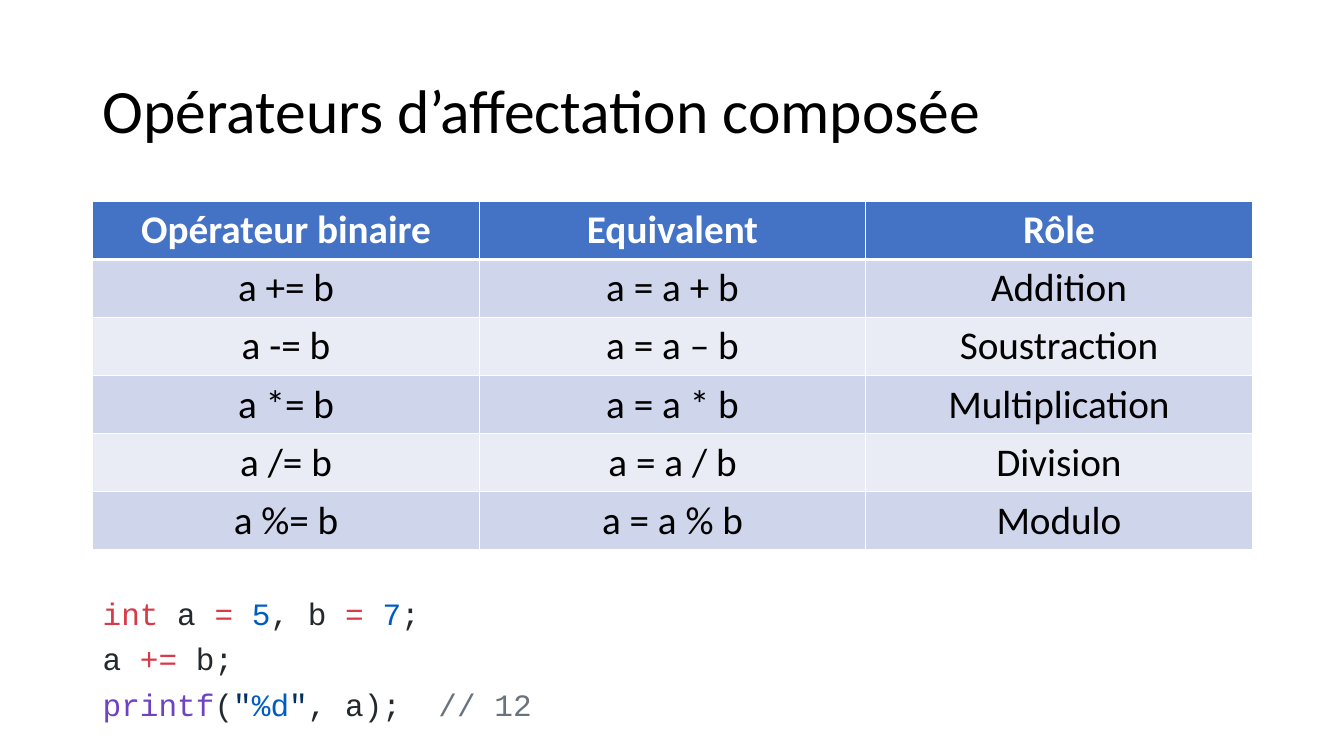
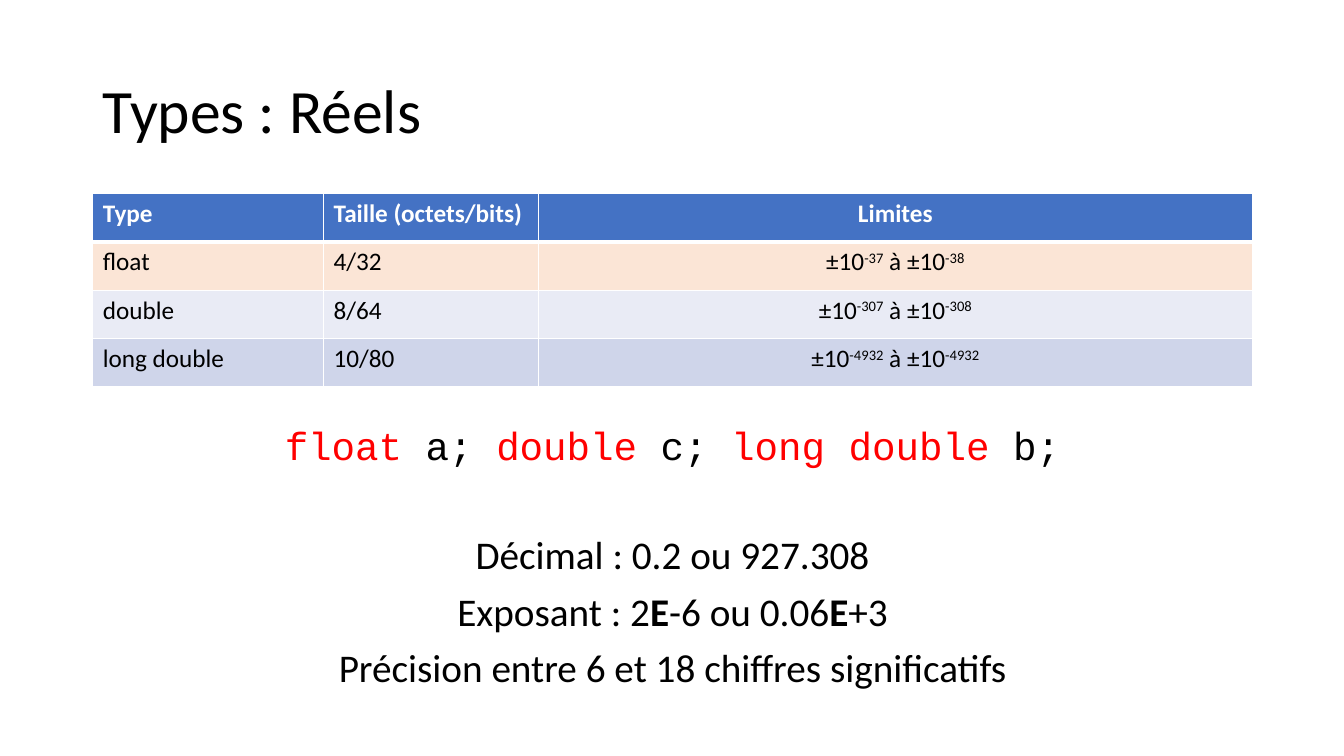
from lxml import etree
from pptx import Presentation
from pptx.dml.color import RGBColor
from pptx.enum.text import MSO_ANCHOR, PP_ALIGN
from pptx.oxml.ns import qn
from pptx.util import Inches, Pt

LEFT, CENTER = PP_ALIGN.LEFT, PP_ALIGN.CENTER
MIDDLE = MSO_ANCHOR.MIDDLE

# Shared look
SANS, MONO = "Calibri", "Courier New"
BLACK, WHITE, BLUE = "000000", "FFFFFF", "4472C4"
DARK, PALE, PEACH = "CFD5EA", "E9EBF5", "FBE5D6"
RED, INK, NUM = "D73A49", "24292E", "005CC5"
CALL, QUOTE, NOTE, TYPE = "6F42C1", "032F62", "6A737D", "FF0000"
EDGE, WIDE = 0.92, 11.5


def rgb(code):
    return RGBColor.from_string(code)


def add_runs(para, runs, size, face):
    """Each run is (text, colour) or (text, colour, "bold" or "super")."""
    for text, color, *mode in runs:
        run = para.add_run()
        run.text = text
        run.font.size = Pt(size)
        run.font.name = face
        run.font.color.rgb = rgb(color)
        run.font.bold = "bold" in mode
        if "super" in mode:
            run._r.get_or_add_rPr().set("baseline", "30000")


# Content of the operator slide
ops = [["Opérateur binaire", "Equivalent", "Rôle"]]
for sign, mid, role in [("+", "+", "Addition"), ("-", "–", "Soustraction"),
                        ("*", "*", "Multiplication"), ("/", "/", "Division"),
                        ("%", "%", "Modulo")]:
    ops.append([f"a {sign}= b", f"a = a {mid} b", role])

# Lines of text: font, space before, runs
code = [
    (MONO, 0, [("int", RED), (" a ", INK), ("= ", RED), ("5", NUM),
               (", b ", INK), ("= ", RED), ("7", NUM), (";", INK)]),
    (MONO, 10, [("a ", INK), ("+=", RED), (" b;", INK)]),
    (MONO, 10, [("printf", CALL), ("(", INK), ('"', QUOTE), ("%d", NUM),
                ('"', QUOTE), (", a); ", INK), (" // 12", NOTE)]),
]

# Content of the real number slide
reals = [["Type", "Taille (octets/bits)", "Limites"]]
for kind, bits, low, high in [("float", "4/32", "-37", "-38"),
                              ("double", "8/64", "-307", "-308"),
                              ("long double", "10/80", "-4932", "-4932")]:
    reals.append([kind, bits, [("±10", BLACK), (low, BLACK, "super"),
                               (" à ±10", BLACK), (high, BLACK, "super")]])
forms = [
    (MONO, 0, [("float", TYPE), (" a; ", BLACK), ("double", TYPE),
               (" c; ", BLACK), ("long double", TYPE), (" b;", BLACK)]),
    (SANS, 48, [("Décimal : 0.2 ou 927.308", BLACK)]),
    (SANS, 10, [("Exposant : 2", BLACK), ("E", BLACK, "bold"),
                ("-6 ou 0.06", BLACK), ("E", BLACK, "bold"), ("+3", BLACK)]),
    (SANS, 10, [("Précision entre 6 et 18 chiffres significatifs", BLACK)]),
]

pages = [
    dict(title="Opérateurs d’affectation composée",
         rows=ops, top=2, step=0.57, cols=[WIDE / 3] * 3, size=28,
         fills=[BLUE, DARK, PALE, DARK, PALE, DARK], aligns=[CENTER] * 3,
         lines=code, box=(5.9, 1.31), inset=0.05, text=22.2, lead=0.85,
         side=LEFT),
    dict(title="Types : Réels",
         rows=reals, top=1.92, step=0.48, cols=[2.29, 2.13, 7.08], size=18,
         fills=[BLUE, PEACH, PALE, DARK], aligns=[LEFT, LEFT, CENTER],
         lines=forms, box=(4.12, 2.98), inset=0.11, text=28, lead=0.9,
         side=CENTER),
]

deck = Presentation()
deck.slide_width, deck.slide_height = Inches(13.33), Inches(7.5)

for page in pages:
    slide = deck.slides.add_slide(deck.slide_layouts[5])

    # Title
    title = slide.shapes.title
    title.left, title.top = Inches(EDGE), Inches(0.4)
    title.width, title.height = Inches(WIDE), Inches(1.45)
    title.text_frame.vertical_anchor = MIDDLE
    para = title.text_frame.paragraphs[0]
    para.alignment, para.line_spacing = LEFT, 0.9
    add_runs(para, [(page["title"], BLACK)], 44, SANS)

    # Table
    rows, cols = page["rows"], page["cols"]
    table = slide.shapes.add_table(
        len(rows), len(cols), Inches(EDGE), Inches(page["top"]),
        Inches(WIDE), Inches(page["step"] * len(rows))).table
    for col, width in zip(table.columns, cols):
        col.width = Inches(width)
    for r, row in enumerate(rows):
        table.rows[r].height = Inches(page["step"])
        for c, item in enumerate(row):
            cell = table.cell(r, c)
            # White borders, thick under the header
            props = cell._tc.get_or_add_tcPr()
            for side in "LRTB":
                thick = (r, side) in [(0, "B"), (1, "T")]
                line = etree.SubElement(props, qn(f"a:ln{side}"),
                                        w=str(Pt(3 if thick else 1)))
                solid = etree.SubElement(line, qn("a:solidFill"))
                etree.SubElement(solid, qn("a:srgbClr"), val=WHITE)
            cell.fill.solid()
            cell.fill.fore_color.rgb = rgb(page["fills"][r])
            if isinstance(item, str):
                item = [(item, BLACK) if r else (item, WHITE, "bold")]
            para = cell.text_frame.paragraphs[0]
            para.alignment = page["aligns"][c]
            add_runs(para, item, page["size"], SANS)

    # Text below the table
    top, height = page["box"]
    frame = slide.shapes.add_textbox(Inches(EDGE), Inches(top), Inches(WIDE),
                                     Inches(height)).text_frame
    frame.word_wrap = True
    frame.margin_top = Inches(page["inset"])
    for i, (face, gap, runs) in enumerate(page["lines"]):
        para = frame.add_paragraph() if i else frame.paragraphs[0]
        para.alignment, para.line_spacing = page["side"], page["lead"]
        para.space_before = Pt(gap)
        add_runs(para, runs, page["text"], face)

deck.save("out.pptx")
